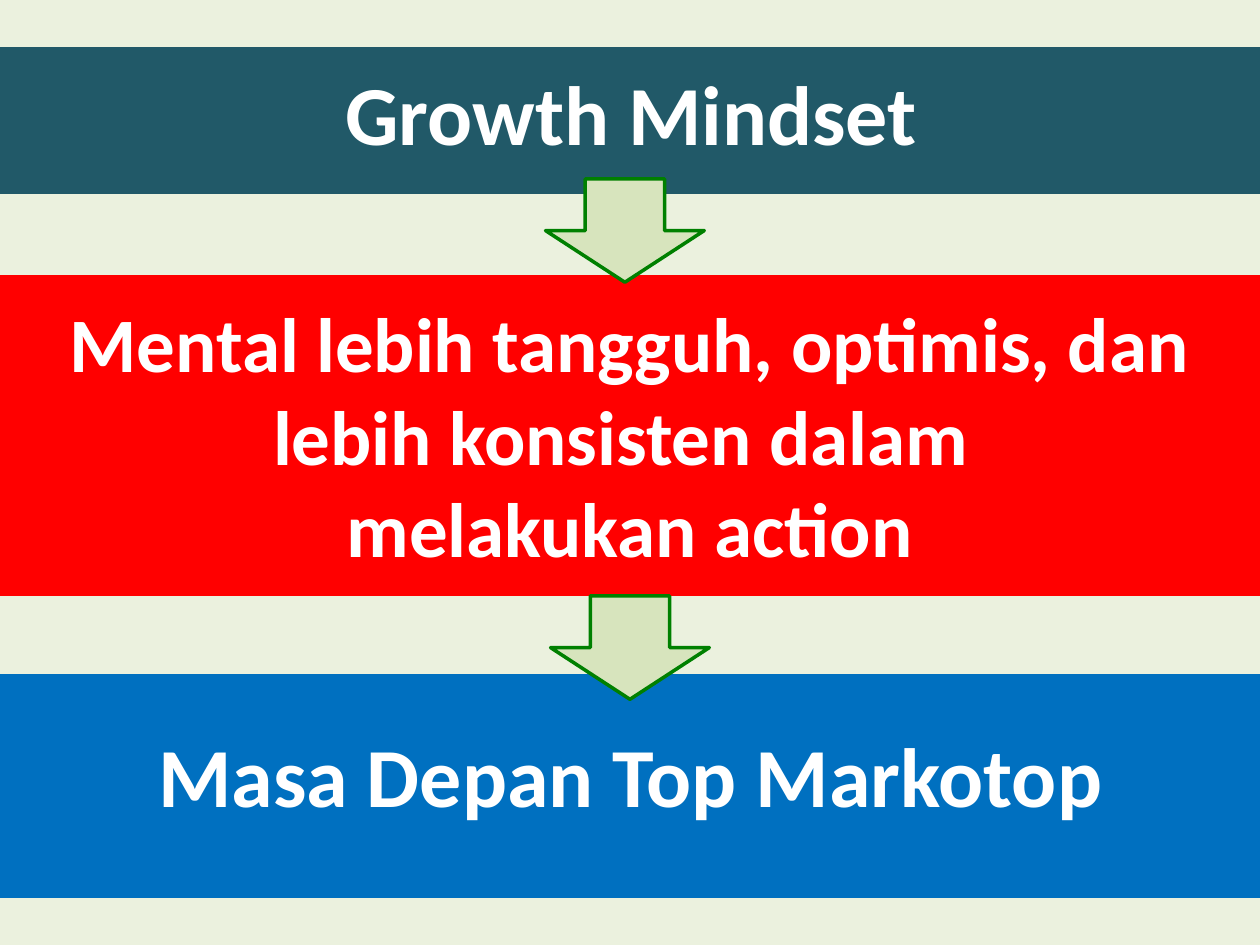
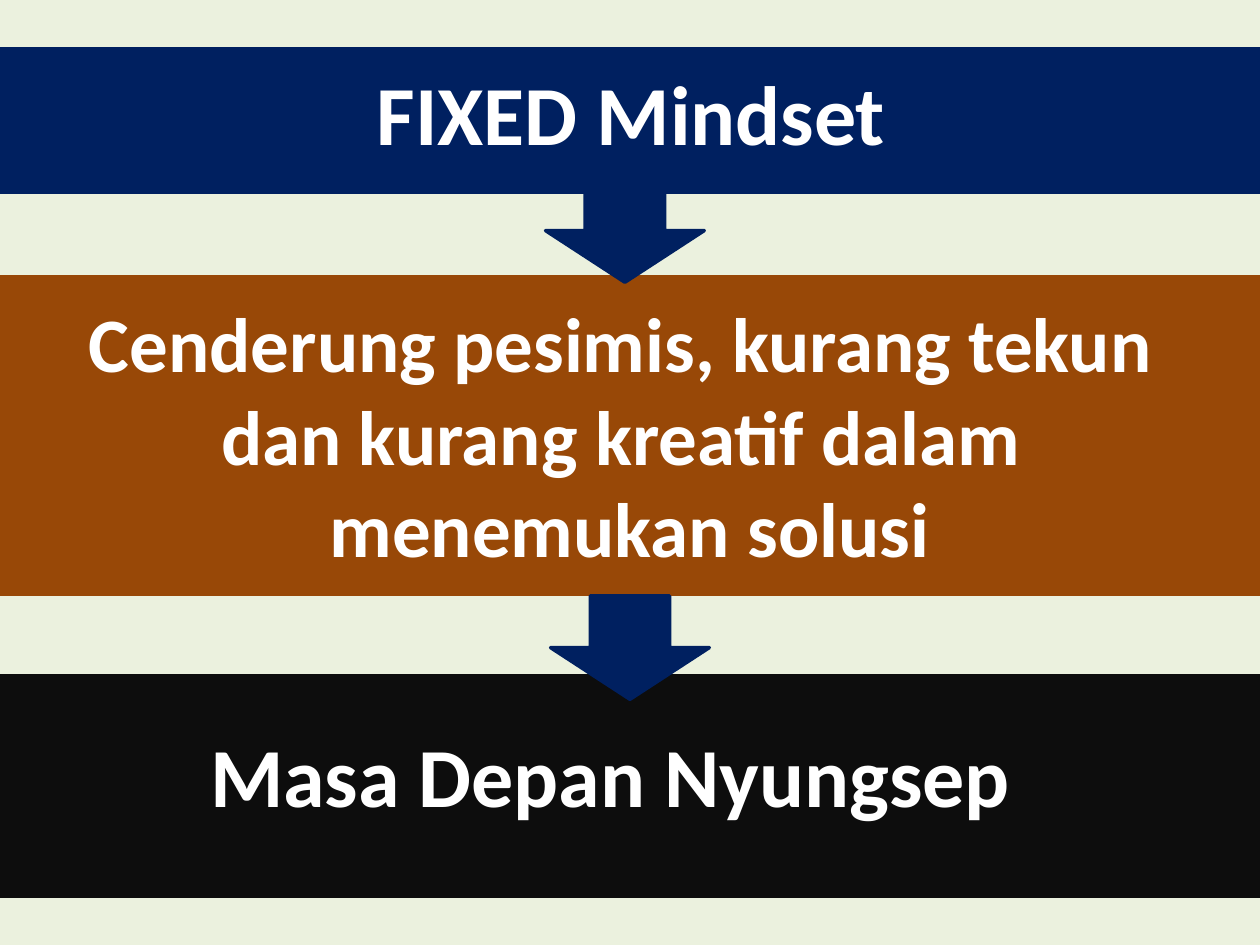
from collections import namedtuple
from dataclasses import dataclass

from pptx import Presentation
from pptx.dml.color import RGBColor
from pptx.enum.shapes import MSO_SHAPE as Preset
from pptx.enum.text import MSO_ANCHOR as Anchor, MSO_AUTO_SIZE as AutoSize, PP_ALIGN as Align
from pptx.util import Inches, Pt

Box = namedtuple("Box", "left top width height")


@dataclass(frozen=True)
class Theme:
    font: str = "Calibri"
    text: str = "FFFFFF"
    backdrop: str = "EBF1DE"
    heading_size: int = 48
    trait_size: int = 44
    lead_size: int = 60
    line_width: int = 2


@dataclass(frozen=True)
class Mindset:
    heading: str
    traits: tuple
    outcome: str
    outcome_left: float
    outcome_width: float
    heading_fill: str
    traits_fill: str
    outcome_fill: str
    arrow_fill: str
    arrow_line: str


THEME = Theme()

# Regions shared by both slides
PAGE = Box(0, 0, 10, 7.5)
HEADING_BAND = Box(0, 0.39, 10, 1.14)
TRAITS_BAND = Box(0, 2.2, 10, 2.52)
OUTCOME_BAND = Box(0, 5.36, 10, 1.75)
ARROWS = (Box(4.33, 1.42, 1.26, 0.82), Box(4.37, 4.73, 1.26, 0.82))

MINDSETS = (
    Mindset(
        "Growth Mindset",
        ("Mental lebih tangguh, optimis, dan lebih konsisten dalam ", "melakukan action"),
        "Masa Depan Top Markotop", 0.97, 7.96,
        "215968", "FF0000", "0070C0", "D7E4BD", "008000",
    ),
    Mindset(
        "FIXED Mindset",
        ("Cenderung pesimis, kurang tekun ", "dan kurang kreatif dalam ", "menemukan solusi"),
        "Masa Depan Nyungsep", 1.38, 6.81,
        "002060", "984807", "0D0D0D", "002060", "002060",
    ),
)


def inches(box):
    return [Inches(length) for length in box]


def add_block(slide, box, fill, line=None, preset=Preset.RECTANGLE):
    block = slide.shapes.add_shape(preset, *inches(box))
    block.shadow.inherit = False
    block.fill.solid()
    block.fill.fore_color.rgb = RGBColor.from_string(fill)
    block.line.color.rgb = RGBColor.from_string(line or fill)
    block.line.width = Pt(THEME.line_width)


def write(holder, paragraphs, align=Align.CENTER, wrap=True):
    """Each paragraph is a list of (text, size) runs."""
    frame = holder.text_frame
    frame.word_wrap = wrap
    frame.auto_size = AutoSize.SHAPE_TO_FIT_TEXT
    frame.vertical_anchor = Anchor.TOP
    for index, runs in enumerate(paragraphs):
        paragraph = frame.add_paragraph() if index else frame.paragraphs[0]
        paragraph.alignment = align
        paragraph.space_before = Pt(0)
        for text, size in runs:
            run = paragraph.add_run()
            run.text = text
            run.font.name = THEME.font
            run.font.size = Pt(size)
            run.font.bold = True
            run.font.color.rgb = RGBColor.from_string(THEME.text)


def add_heading(slide, box, mindset):
    add_block(slide, box, mindset.heading_fill)
    title = slide.shapes.title
    title.left, title.top, title.width, title.height = inches(
        Box(box.left + 0.01, box.top + 0.05, box.width, 0.91))
    write(title, [[(mindset.heading, THEME.heading_size)]])
    # Bring the title in front of its band
    title.element.getparent().append(title.element)


def add_traits(slide, box, mindset):
    add_block(slide, box, mindset.traits_fill)
    inset = 0.1
    traits = slide.shapes.add_textbox(*inches(
        Box(box.left + inset, box.top + inset, box.width - 2 * inset, box.height - 2 * inset)))
    write(traits, [[(line, THEME.trait_size)] for line in mindset.traits])


def add_outcome(slide, box, mindset):
    add_block(slide, box, mindset.outcome_fill)
    outcome = slide.shapes.add_textbox(*inches(
        Box(box.left + mindset.outcome_left, box.top + 0.17, mindset.outcome_width, 1.11)))
    # The larger leading space sets the height of the line
    runs = [(" ", THEME.lead_size), (mindset.outcome, THEME.heading_size)]
    write(outcome, [runs], align=Align.LEFT, wrap=False)


def add_mindset_slide(deck, mindset):
    slide = deck.slides.add_slide(deck.slide_layouts[5])
    add_block(slide, PAGE, THEME.backdrop)
    add_traits(slide, TRAITS_BAND, mindset)
    add_outcome(slide, OUTCOME_BAND, mindset)
    add_heading(slide, HEADING_BAND, mindset)
    # Arrows overlap the bands they link
    for box in ARROWS:
        add_block(slide, box, mindset.arrow_fill, mindset.arrow_line, Preset.DOWN_ARROW)


def main():
    deck = Presentation()
    deck.slide_width, deck.slide_height = Inches(PAGE.width), Inches(PAGE.height)
    for mindset in MINDSETS:
        add_mindset_slide(deck, mindset)
    deck.save("out.pptx")


if __name__ == "__main__":
    main()
